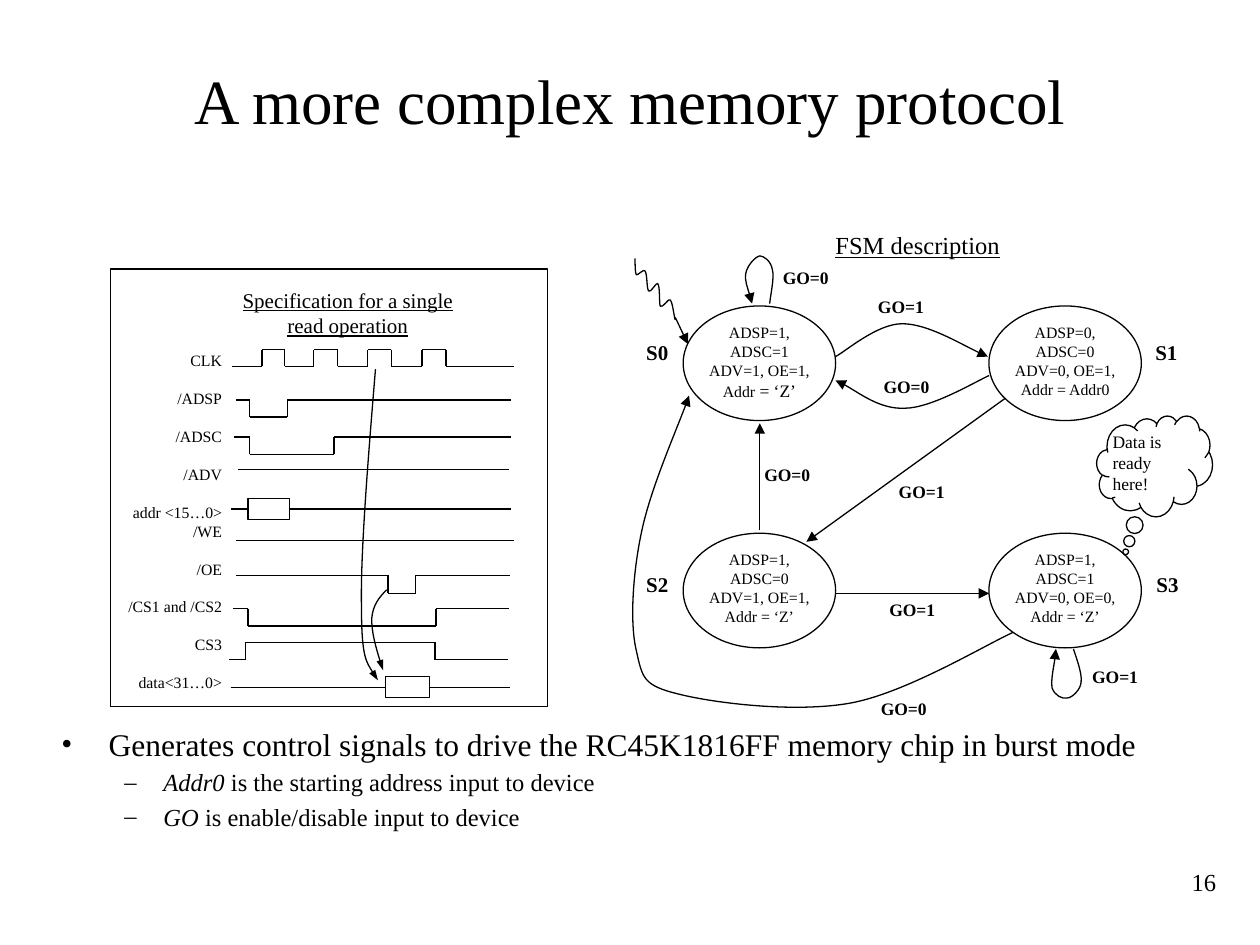
from dataclasses import dataclass
from typing import Optional

from lxml.etree import SubElement
from pptx import Presentation
from pptx.dml.color import RGBColor
from pptx.enum.shapes import MSO_CONNECTOR, MSO_SHAPE
from pptx.enum.text import MSO_ANCHOR, PP_ALIGN
from pptx.oxml.ns import qn
from pptx.util import Pt

FONT = "Times New Roman"
COLORS = {"ink": "000000", "paper": "FFFFFF"}
LINE_WIDTH = 0.75
Point = tuple[float, float]


@dataclass
class Signal:
    """A level that flips at every edge, or a bus with one data window."""
    name: str
    start: float
    end: float
    idle: float
    active: float = 0
    edges: tuple[float, ...] = ()
    window: Optional[tuple[float, float]] = None  # left, width
    gap_before: float = 10.85


@dataclass
class State:
    name: str
    left: float
    top: float
    outputs: tuple[str, ...]
    name_left: float
    name_top: float


@dataclass
class Curve:
    """Start point followed by groups of three cubic control points."""
    points: list[Point]
    head_width: Optional[str] = "med"


SIGNALS = [
    Signal("CLK", 132.5, 293.5, 209.3, 199.8,
           (149.8, 162.7, 179.3, 193, 210.2, 223.7, 241.2, 254.9)),
    Signal("/ADSP", 134.6, 292.3, 228.6, 238.3, (142.6, 164.2)),
    Signal("/ADSC", 133.9, 292.3, 249.8, 259.6, (142.6, 190.8)),
    Signal("/ADV", 136.1, 290.9, 268.4),
    Signal("addr <15…0>", 131.8, 292.3, 290.9, window=(141.8, 23.8)),
    Signal("/WE", 135, 293.8, 308.9, gap_before=0),
    Signal("/OE", 134.6, 291.6, 328.7, 339.1, (221.8, 237.6)),
    Signal("/CS1 and /CS2", 133.2, 290.9, 347.8, 357.8, (141.8, 249.1)),
    Signal("CS3", 131, 290.2, 377, 367, (140.4, 248.6)),
    Signal("data<31…0>", 131.8, 291.6, 392.7, window=(220.3, 25.2)),
]
STATES = [
    State("S0", 390.4, 174.8, ("ADSP=1,", "ADSC=1", "ADV=1, OE=1, Addr", " = ‘Z’"), 369.2, 194),
    State("S1", 565.1, 174.8, ("ADSP=0,", "ADSC=0", "ADV=0, OE=1, Addr = Addr0"), 660.2, 194),
    State("S2", 390.4, 304.7, ("ADSP=1,", "ADSC=0", "ADV=1, OE=1, Addr = ‘Z’"), 369.2, 326.5),
    State("S3", 565.1, 304.7, ("ADSP=1,", "ADSC=1", "ADV=0, OE=0, Addr = ‘Z’"), 660.8, 326.5),
]
CURVES = [
    # Clock edge to data, output enable to data
    Curve([(214.6, 211), (210.2, 264.2), (205.9, 317.5), (206.6, 347),
           (206.6, 376.6), (211.7, 382.3), (216, 388.8)], "sm"),
    Curve([(221, 337), (216.7, 341.3), (213.1, 345.6), (212.4, 353.5),
           (212.4, 361.4), (215.3, 372.2), (218.9, 383)], "sm"),
    # Reset squiggle
    Curve([(362.9, 147.6), (362.9, 151.2), (362.9, 155.5), (363.6, 157),
           (364.3, 157.7), (367.9, 153.4), (368.6, 154.8), (370.1, 157),
           (369.4, 165.6), (370.8, 166.3), (371.5, 167.8), (375.1, 161.3),
           (375.8, 162), (377.3, 163.4), (376.6, 172.8), (377.3, 175),
           (378.7, 176.4), (382.3, 169.9), (383, 171.4), (384.5, 172.8),
           (385.2, 181.4), (385.9, 182.9)], None),
    # S0 to itself, S3 to itself
    Curve([(439.9, 173.5), (439.9, 170.6), (442.8, 158.4), (441.4, 154.1),
           (440.6, 149), (436.3, 146.2), (434.2, 146.2), (431.3, 146.9),
           (427, 151.9), (426.2, 156.2), (425.5, 160.6), (429.1, 169.9), (429.8, 173.5)]),
    Curve([(613.4, 370.8), (614.2, 373.7), (618.5, 384.5), (617.8, 389.5),
           (617.8, 393.8), (612.7, 398.9), (609.8, 398.9), (607, 399.6),
           (602.6, 397.4), (601.2, 393.1), (600.5, 388.1), (603.4, 375.1), (603.4, 370.8)]),
    # S0 to S1, S1 to S0, S3 to S0
    Curve([(477.4, 203.8), (483.1, 200.9), (501.1, 185), (515.5, 185),
           (529.9, 185), (553.7, 199.4), (564.5, 203.8)]),
    Curve([(565.2, 214.6), (557.3, 218.2), (532.1, 233.3), (517, 233.3),
           (502.6, 234), (485.3, 220.3), (477.4, 217.4)]),
    Curve([(578.9, 361.4), (563, 368.6), (517.7, 396), (486, 401.8),
           (454.3, 407.5), (408.2, 401.8), (388.1, 396.7), (367.2, 391.7),
           (367.2, 387.4), (363.6, 371.5), (360, 356.4), (361.4, 329),
           (366.5, 304.6), (371.5, 280.1), (388.1, 242.6), (393.8, 226.1)]),
]
# Reset into S0, S1 to S2, S2 to S3, S2 to S0
STRAIGHT_ARROWS = [((385.9, 181.4), (393.1, 196.6)), ((574.6, 227.5), (460.8, 309.6)),
                   ((477.4, 339.1), (565.2, 339.1)), ((434.2, 303.1), (434.2, 241.9))]
# Text, left, top, width
CONDITIONS = [("GO=0", 445.7, 152.6, 29.5), ("GO=1", 496.1, 169.2, 37.4),
              ("GO=0", 504.5, 214.9, 27), ("GO=0", 436.3, 265.4, 27),
              ("GO=1", 512.6, 275, 28.1), ("GO=1", 507.6, 342, 27.4),
              ("GO=1", 622.8, 380.7, 28.8)]


def color(name: str) -> RGBColor:
    return RGBColor.from_string(COLORS[name])


def add_span(para, text: str, size: float, **style) -> None:
    span = para.add_run()
    span.text = text
    span.font.name, span.font.size = FONT, Pt(size)
    span.font.color.rgb = color("ink")
    for key, value in style.items():
        setattr(span.font, key, value)


def prepare(box, inset: Point = (0, 0), anchor=MSO_ANCHOR.TOP):
    frame = box.text_frame
    frame.word_wrap, frame.vertical_anchor = True, anchor
    frame.margin_left = frame.margin_right = Pt(inset[0])
    frame.margin_top = frame.margin_bottom = Pt(inset[1])
    return frame


def add_text(page, place, text, size, align=PP_ALIGN.CENTER, inset=(0, 0),
             anchor=MSO_ANCHOR.TOP, filled: bool = False, **style) -> None:
    if filled:
        box = add_outline(page, MSO_SHAPE.RECTANGLE, *place, "paper", lined=False)
    else:
        box = page.shapes.add_textbox(*map(Pt, place))
    para = prepare(box, inset, anchor).paragraphs[0]
    para.alignment = align
    add_span(para, text, size, **style)


def set_line(item, head_width: Optional[str] = None) -> None:
    item.line.color.rgb = color("ink")
    item.line.width = Pt(LINE_WIDTH)
    if head_width:
        SubElement(item.line._get_or_add_ln(), qn("a:tailEnd"), type="triangle", w=head_width)


def add_outline(page, kind, left, top, width, height,
                fill: Optional[str] = None, lined: bool = True):
    shape = page.shapes.add_shape(kind, Pt(left), Pt(top), Pt(width), Pt(height))
    shape.shadow.inherit = False
    if fill:
        shape.fill.solid()
        shape.fill.fore_color.rgb = color(fill)
    else:
        shape.fill.background()
    if lined:
        set_line(shape)
    else:
        shape.line.fill.background()
    return shape


def add_line(page, start: Point, end: Point, head_width: Optional[str] = None):
    line = page.shapes.add_connector(MSO_CONNECTOR.STRAIGHT, *map(Pt, start + end))
    set_line(line, head_width)
    SubElement(line._element.spPr, qn("a:effectLst"))
    return line


def add_curve(page, curve: Curve) -> None:
    start, *controls = [(Pt(x), Pt(y)) for x, y in curve.points]
    builder = page.shapes.build_freeform(*start)
    builder.add_line_segments(controls, close=False)
    shape = builder.convert_to_shape()
    # Turn each three straight pieces into one cubic piece
    outline = next(shape._element.iter(qn("a:path")))
    pieces = outline.findall(qn("a:lnTo"))
    for first in range(0, len(pieces), 3):
        cubic = SubElement(outline, qn("a:cubicBezTo"))
        for piece in pieces[first:first + 3]:
            cubic.append(piece[0])
            outline.remove(piece)
    shape.shadow.inherit = False
    shape.fill.background()
    set_line(shape, curve.head_width)


def add_signal(page, signal: Signal) -> None:
    if signal.window:
        left, width = signal.window
        box = add_outline(page, MSO_SHAPE.RECTANGLE, left, signal.idle - 6, width, 12, "paper")
        add_line(page, (signal.start, signal.idle), (left, signal.idle)).end_connect(box, 1)
        add_line(page, (left + width, signal.idle), (signal.end, signal.idle)).begin_connect(box, 3)
        return
    x, level, other = signal.start, signal.idle, signal.active
    for edge in signal.edges:
        add_line(page, (x, level), (edge, level))
        add_line(page, (edge, level), (edge, other))
        x, level, other = edge, other, level
    add_line(page, (x, level), (signal.end, level))


def add_state(page, state: State) -> None:
    frame = prepare(add_outline(page, MSO_SHAPE.OVAL, state.left, state.top, 87.1, 65.5))
    for index, text in enumerate(state.outputs[:3]):
        para = frame.add_paragraph() if index else frame.paragraphs[0]
        para.alignment = PP_ALIGN.CENTER
        add_span(para, text, 9)
    for text in state.outputs[3:]:
        add_span(para, text, 10)
    add_text(page, (state.name_left, state.name_top, 15, 18), state.name, 12,
             PP_ALIGN.LEFT, bold=True)


def add_bullet(para, mark: str, margin: float, hang: float, size: float, text: str,
               lead: str = "", space: float = 0) -> None:
    props = para._p.get_or_add_pPr()
    props.set("marL", str(Pt(margin)))
    props.set("indent", str(-Pt(hang)))
    SubElement(props, qn("a:buFont"), typeface=FONT)
    SubElement(props, qn("a:buChar"), char=mark)
    para.space_before = Pt(space)
    if lead:
        add_span(para, lead, size, italic=True)
    add_span(para, text, size)


def main() -> None:
    deck = Presentation()
    deck.slide_width, deck.slide_height = Pt(720), Pt(540)
    page = deck.slides.add_slide(deck.slide_layouts[6])

    # Page number, title and bullets
    add_text(page, (630, 491.8, 72, 36), "16", 14, PP_ALIGN.RIGHT, (7.2, 3.6))
    add_text(page, (30, 12, 660, 90), "A more complex memory protocol", 36,
             inset=(0, 3.6), anchor=MSO_ANCHOR.MIDDLE)
    body = prepare(page.shapes.add_textbox(Pt(28), Pt(410.6), Pt(660), Pt(68.4)), (7.2, 3.6))
    add_bullet(body.paragraphs[0], "•", 27, 27, 18,
               "Generates control signals to drive the RC45K1816FF memory chip in burst mode")
    for lead, text in (("Addr0", " is the starting address input to device"),
                       ("GO", " is enable/disable input to device")):
        add_bullet(body.add_paragraph(), "–", 58.3, 22.3, 14, text, lead, 2.8)

    # Timing diagram
    add_text(page, (128.2, 160.6, 141.1, 32.4), "Specification for a single read operation",
             12, inset=(7.2, 3.6), filled=True, underline=True)
    add_outline(page, MSO_SHAPE.RECTANGLE, 63.2, 153.8, 249.8, 249.8)
    labels = prepare(page.shapes.add_textbox(Pt(51.1), Pt(196.8), Pt(82.8), Pt(226.1)), (7.2, 3.6))
    for index, signal in enumerate(SIGNALS):
        para = labels.add_paragraph() if index else labels.paragraphs[0]
        para.alignment = PP_ALIGN.RIGHT
        para.space_before = Pt(signal.gap_before if index else 0)
        add_span(para, signal.name, 9)
        add_signal(page, signal)

    # State machine
    add_text(page, (465, 131.4, 118.8, 16.6), "FSM description", 14, underline=True)
    add_text(page, (501.8, 398.9, 31.7, 18.7), "GO=0 ", 10, filled=True, bold=True)
    for state in STATES:
        add_state(page, state)
    cloud = add_outline(page, MSO_SHAPE.CLOUD_CALLOUT, 626.7, 237.6, 66.2, 57.6)
    cloud.adjustments[0], cloud.adjustments[1] = -0.25, 0.85
    para = prepare(cloud).paragraphs[0]
    para.alignment = PP_ALIGN.LEFT
    add_span(para, "Data is ready here!", 10)
    for curve in CURVES:
        add_curve(page, curve)
    for start, end in STRAIGHT_ARROWS:
        add_line(page, start, end, "med")
    for text, left, top, width in CONDITIONS:
        add_text(page, (left, top, width, 18), text, 10, bold=True)

    deck.save("out.pptx")


if __name__ == "__main__":
    main()
